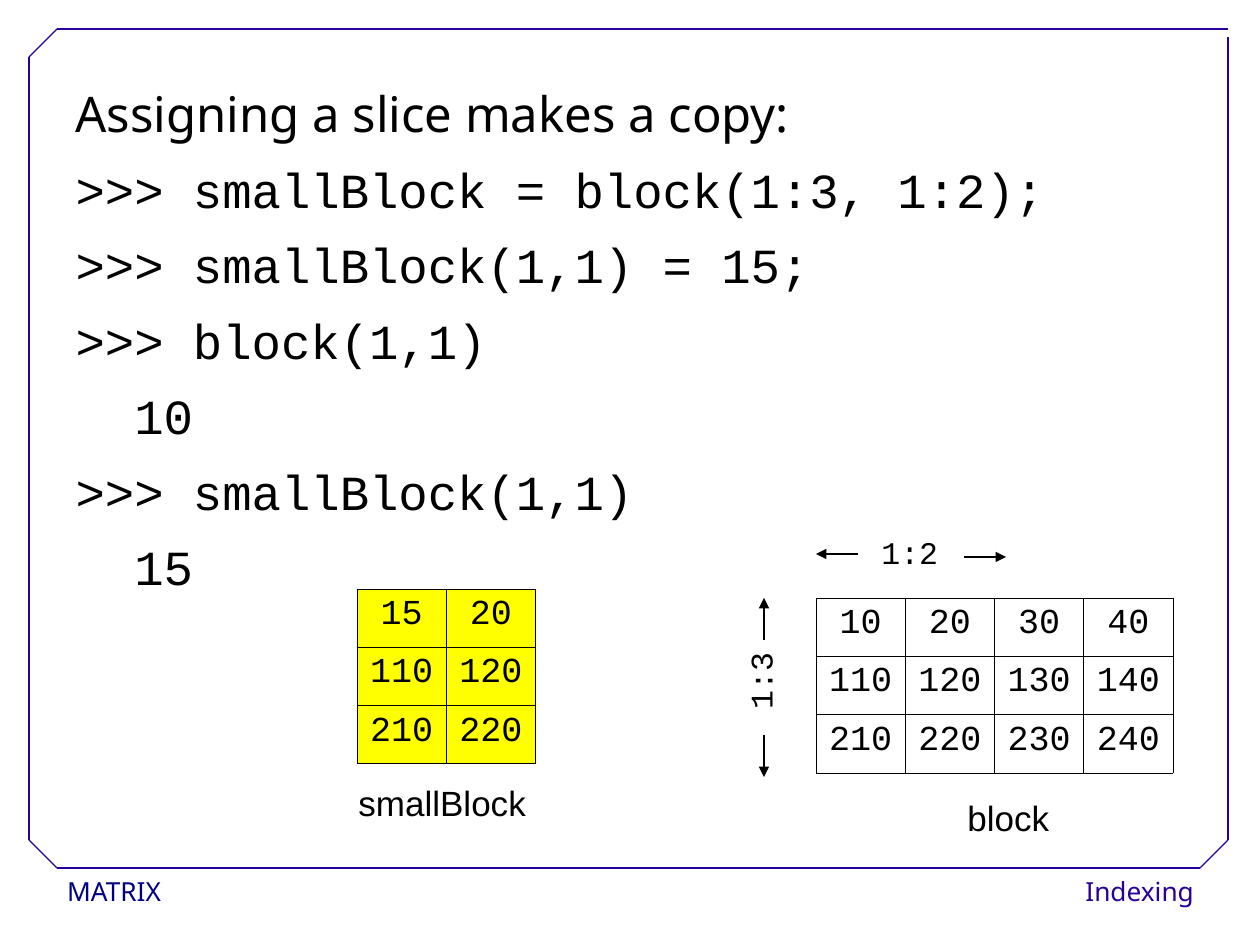
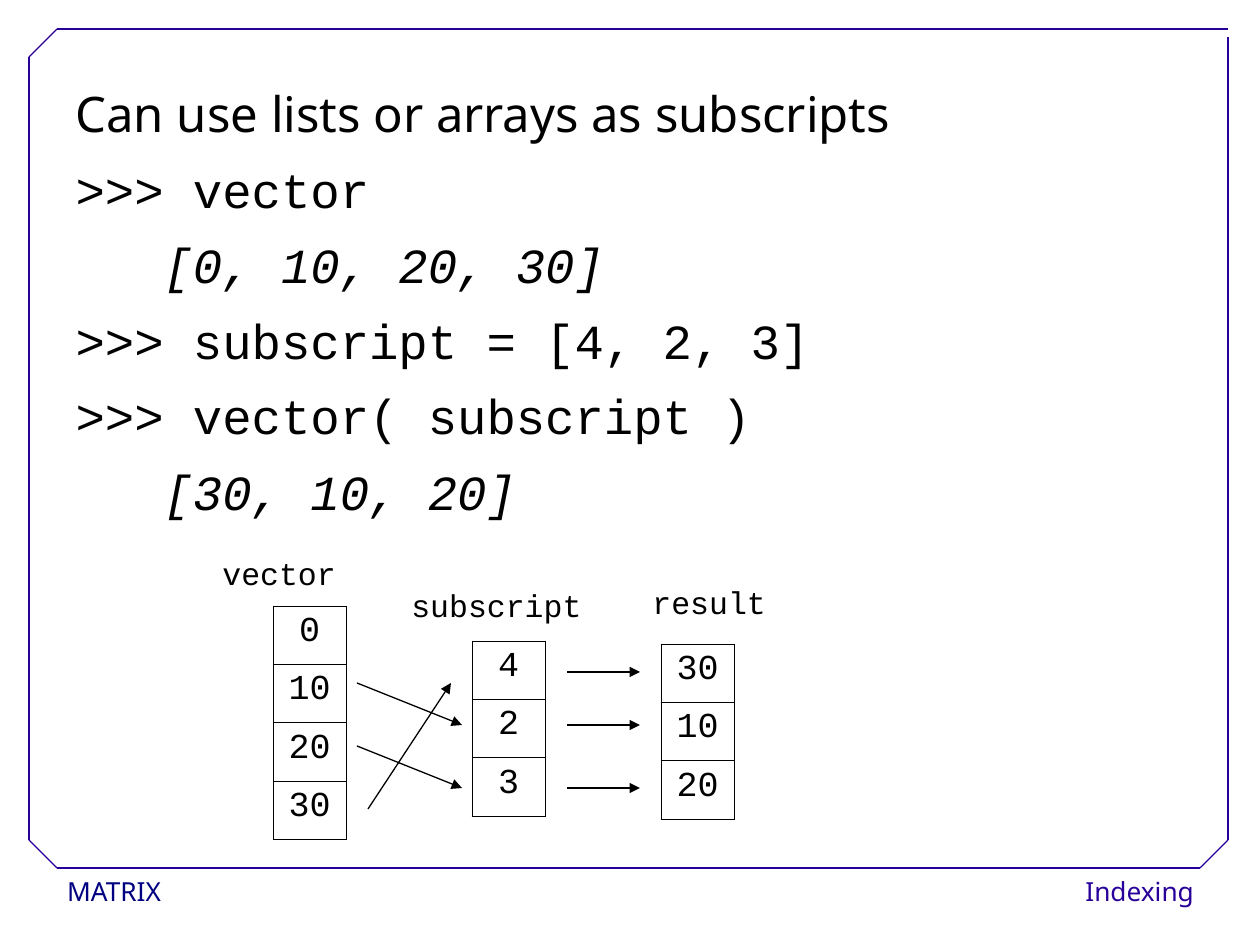
from lxml.etree import SubElement
from pptx import Presentation
from pptx.dml.color import RGBColor
from pptx.enum.shapes import MSO_CONNECTOR, MSO_SHAPE
from pptx.enum.text import MSO_ANCHOR, MSO_AUTO_SIZE, PP_ALIGN
from pptx.oxml.ns import qn
from pptx.util import Emu, Pt

PX_PER_INCH = 126
BLACK = RGBColor(0x00, 0x00, 0x00)
WHITE = RGBColor(0xFF, 0xFF, 0xFF)
YELLOW = RGBColor(0xFF, 0xFF, 0x00)
NAVY = RGBColor(0x00, 0x00, 0x80)
INDIGO = RGBColor(0x28, 0x00, 0x99)

SANS, CODE, LABEL = "Noto Sans", "Courier New", "Arial"
ROW_HEIGHT = 58.33
AFTER = Pt(12.9)

# Frame edges and the inner ends of its cut corners
LEFT, TOP, RIGHT, BOTTOM = 29, 29, 1228, 868
INNER_LEFT, INNER_TOP, INNER_RIGHT, INNER_BOTTOM = 57, 57, 1200, 840
FRAME_LINES = [
    (INNER_LEFT, BOTTOM, INNER_RIGHT, BOTTOM),
    (LEFT, INNER_BOTTOM, LEFT, INNER_TOP),
    (INNER_LEFT, TOP, RIGHT, TOP),
    (RIGHT, INNER_BOTTOM, RIGHT, 37),
    (LEFT, INNER_TOP, INNER_LEFT, TOP),
    (INNER_RIGHT, BOTTOM, RIGHT, INNER_BOTTOM),
    (LEFT, INNER_BOTTOM, INNER_LEFT, BOTTOM),
]


def px(*lengths):
    """Turn px lengths into a list of EMU lengths."""
    return [Emu(round(length * 914400 / PX_PER_INCH)) for length in lengths]


def add_span(para, text, font, size, color=BLACK, italic=False):
    span = para.add_run()
    span.text = text
    span.font.name = font
    span.font.size = Pt(size)
    span.font.color.rgb = color
    span.font.italic = italic


def add_line(page, start_x, start_y, end_x, end_y, color=BLACK, arrow=False):
    line = page.shapes.add_connector(
        MSO_CONNECTOR.STRAIGHT, *px(start_x, start_y, end_x, end_y))
    line.line.color.rgb = color
    line.line.width = Pt(0.75)
    if arrow:
        SubElement(line.line._get_or_add_ln(), qn("a:tailEnd"), type="triangle")
    SubElement(line.element.spPr, qn("a:effectLst"))


def add_footer(page, left, width, text, color, align):
    box = page.shapes.add_shape(MSO_SHAPE.RECTANGLE, *px(left, BOTTOM, width, 47))
    box.shadow.inherit = False
    box.fill.solid()
    box.fill.fore_color.rgb = WHITE
    box.line.fill.background()
    frame = box.text_frame
    frame.word_wrap = True
    frame.vertical_anchor = MSO_ANCHOR.TOP
    frame.margin_left, frame.margin_right = px(12, 12)
    frame.margin_top, frame.margin_bottom = px(7, 3)
    para = frame.paragraphs[0]
    para.alignment = align
    para.line_spacing = 1.02
    add_span(para, text, SANS, 15, color)


def add_page(deck):
    """Add a page with the shared footers and frame."""
    page = deck.slides.add_slide(deck.slide_layouts[1])
    title = page.shapes.title.element
    title.getparent().remove(title)
    add_footer(page, 55, 246, "MATRIX", NAVY, PP_ALIGN.LEFT)
    add_footer(page, 1046, 160, "Indexing", INDIGO, PP_ALIGN.RIGHT)
    for ends in FRAME_LINES:
        add_line(page, *ends, color=INDIGO)
    return page


def fill_body(page, heading, code_lines):
    """Write a heading and code lines; indented lines that list values are italic."""
    body = page.placeholders[1]
    body.left, body.top, body.width, body.height = px(63, 84, 1134, 766)
    frame = body.text_frame
    frame.auto_size = MSO_AUTO_SIZE.NONE
    for index, text in enumerate([heading, *code_lines]):
        para = frame.paragraphs[0] if index == 0 else frame.add_paragraph()
        hang = px(43)[0]
        properties = para._p.get_or_add_pPr()
        properties.set("marL", str(hang))
        properties.set("indent", str(-hang))
        SubElement(properties, qn("a:buNone"))
        para.line_spacing = 0.9
        para.space_before = Pt(0)
        para.space_after = AFTER
        add_span(para, text, CODE if index else SANS, 28,
                 italic=text.lstrip().startswith("["))


def add_label(page, left, top, width, height, text, font=CODE, size=18, rotation=0):
    box = page.shapes.add_textbox(*px(left, top, width, height))
    box.rotation = rotation
    box.text_frame.word_wrap = True
    box.text_frame.auto_size = MSO_AUTO_SIZE.SHAPE_TO_FIT_TEXT
    add_span(box.text_frame.paragraphs[0], text, font, size)


def set_borders(cell):
    properties = cell._tc.get_or_add_tcPr()
    for side in ("lnL", "lnR", "lnT", "lnB"):
        border = SubElement(properties, qn(f"a:{side}"), w=str(Pt(0.45)))
        fill = SubElement(border, qn("a:solidFill"))
        SubElement(fill, qn("a:srgbClr"), val=str(BLACK))


def add_grid(page, left, top, column_width, rows, fill=None):
    """Add a bordered table of numbers."""
    row_count, column_count = len(rows), len(rows[0])
    table = page.shapes.add_table(
        row_count, column_count,
        *px(left, top, column_width * column_count, ROW_HEIGHT * row_count)).table
    table.first_row = table.horz_banding = False
    for row, values in zip(table.rows, rows):
        for cell, value in zip(row.cells, values):
            set_borders(cell)
            if fill is None:
                cell.fill.background()
            else:
                cell.fill.solid()
                cell.fill.fore_color.rgb = fill
            para = cell.text_frame.paragraphs[0]
            para.alignment = PP_ALIGN.CENTER
            para.line_spacing = 0.93
            para.space_after = AFTER
            add_span(para, str(value), CODE, 20)


def build_slice_page(deck):
    page = add_page(deck)
    fill_body(page, "Assigning a slice makes a copy:", [
        ">>> smallBlock = block(1:3, 1:2);",
        ">>> smallBlock(1,1) = 15;",
        ">>> block(1,1)",
        "  10",
        ">>> smallBlock(1,1)",
        "  15",
    ])

    # Full block with its row and column ranges
    block = [[base + step for step in (10, 20, 30, 40)] for base in (0, 100, 200)]
    add_grid(page, 816, 598, 89.25, block)
    add_label(page, 869, 527, 105, 50, "1:2")
    add_label(page, 719, 656, 82, 50, "1:3", rotation=270)
    for ends in [(964, 557, 1006, 557), (858, 554, 816, 554),
                 (764, 640, 764, 598), (764, 735, 764, 777)]:
        add_line(page, *ends, arrow=True)
    add_label(page, 955, 790, 136, 55, "block", LABEL, 20)

    # Copied slice
    small_block = [row[:2] for row in block]
    small_block[0][0] = 15
    add_grid(page, 357, 589, 89.25, small_block, YELLOW)
    add_label(page, 346, 775, 199, 55, "smallBlock", LABEL, 20)


def build_subscript_page(deck):
    page = add_page(deck)
    fill_body(page, "Can use lists or arrays as subscripts", [
        ">>> vector",
        "   [0, 10, 20, 30]",
        ">>> subscript = [4, 2, 3]",
        ">>> vector( subscript )",
        "   [30, 10, 20]",
    ])

    # Columns of values with their names
    vector, subscript = [0, 10, 20, 30], [4, 2, 3]
    result = [vector[position - 1] for position in subscript]
    for left, top, values in [(273, 606, vector), (472, 641, subscript),
                              (661, 644, result)]:
        add_grid(page, left, top, 73.5, [[value] for value in values])
    add_label(page, 210, 548, 158, 50, "vector")
    add_label(page, 399, 580, 199, 50, "subscript")
    add_label(page, 640, 577, 147, 50, "result")

    # Arrows from vector to subscript, then to result
    for ends in [(368, 809, 451, 683), (357, 683, 462, 725), (357, 746, 462, 788)]:
        add_line(page, *ends, arrow=True)
    for height in (672, 725, 788):
        add_line(page, 567, height, 640, height, arrow=True)


def main():
    deck = Presentation()
    deck.slide_width, deck.slide_height = px(1260, 945)
    build_slice_page(deck)
    build_subscript_page(deck)
    deck.save("out.pptx")


if __name__ == "__main__":
    main()
